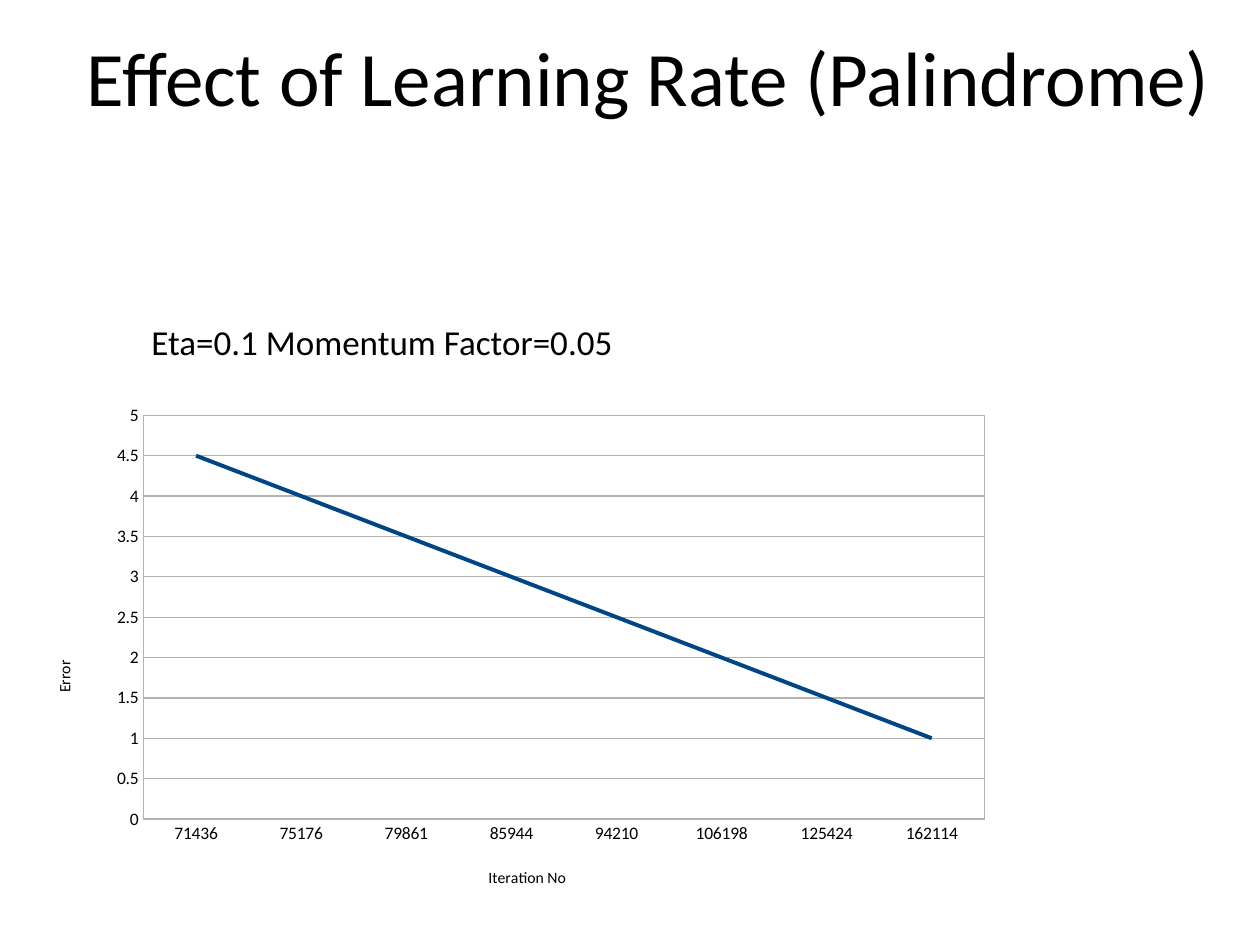
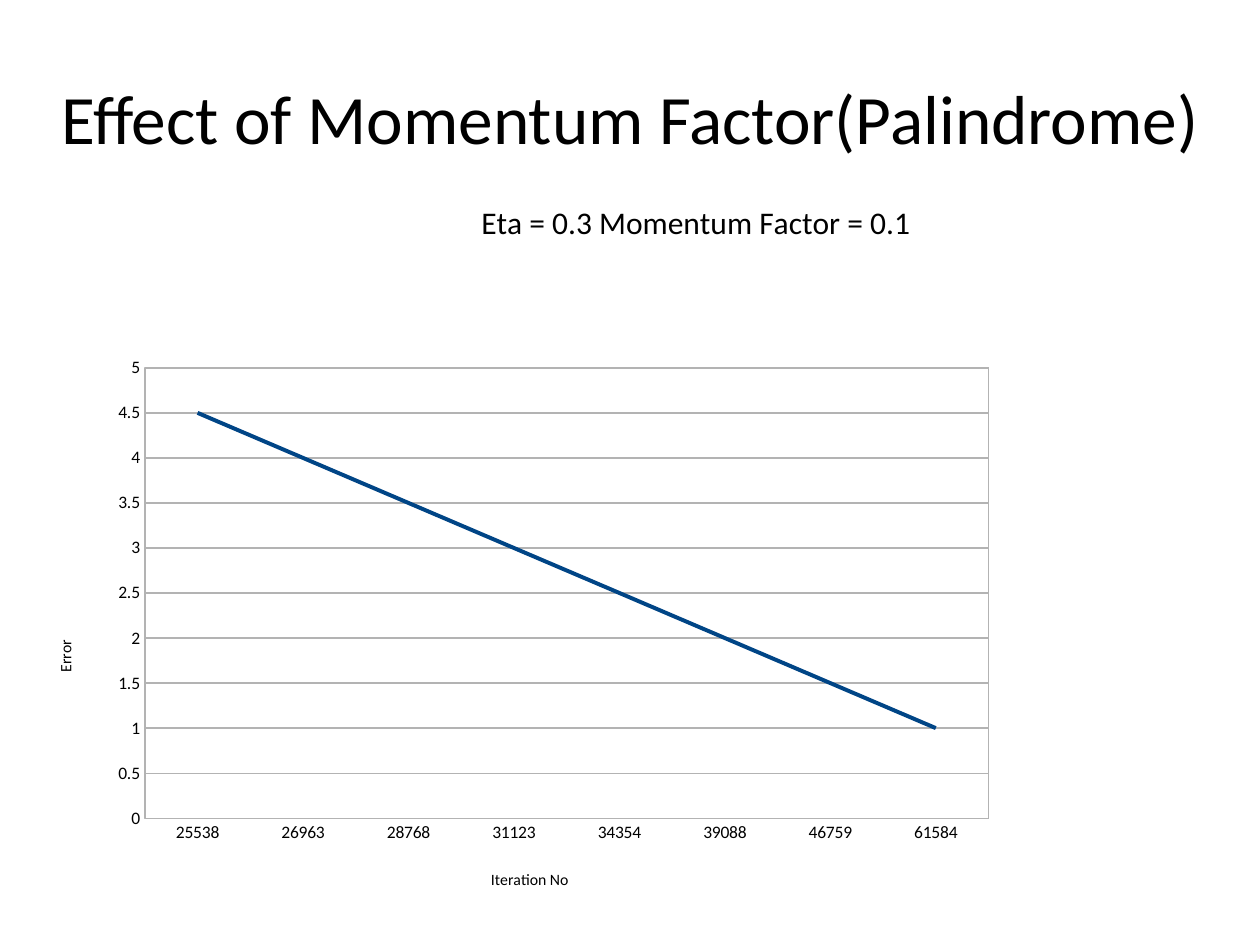
import pptx
import pptx.chart.data
import pptx.dml.color
import pptx.enum.chart
import pptx.enum.text
import pptx.oxml
import pptx.oxml.ns
import pptx.util

BLACK = pptx.dml.color.RGBColor(0x00, 0x00, 0x00)
GREY = pptx.dml.color.RGBColor(0xB3, 0xB3, 0xB3)
BLUE = pptx.dml.color.RGBColor(0x00, 0x45, 0x86)
FONT = "Calibri"
ERRORS = [4.5, 4, 3.5, 3, 2.5, 2, 1.5, 1]
SCALE = 914400 / 126
NS = pptx.oxml.ns.nsdecls("c", "a")
qn = pptx.oxml.ns.qn

SLIDES = [
    {
        "texts": [
            ("Effect of Learning Rate (Palindrome)", 44, (63, -3, 1172, 158)),
            ("Eta=0.1 Momentum Factor=0.05", 20, (134, 314, 496, 55)),
        ],
        "chart": (14, 222, 1241, 714),
        "chart_title": None,
        "iterations": [71436, 75176, 79861, 85944, 94210, 106198, 125424, 162114],
    },
    {
        "texts": [("Effect of Momentum Factor(Palindrome)", 39.6, (25, 38, 1211, 158))],
        "chart": (15, 155, 1245, 790),
        "chart_title": "Eta = 0.3 Momentum Factor = 0.1",
        "iterations": [25538, 26963, 28768, 31123, 34354, 39088, 46759, 61584],
    },
]


def write(tf, text, size):
    p = tf.paragraphs[0]
    r = p.add_run()
    r.text = text
    style = {"name": FONT, "size": pptx.util.Pt(size), "bold": False}
    for key, value in style.items():
        setattr(r.font, key, value)
    r.font.color.rgb = BLACK
    return p


def place(parent, index, values):
    for old in parent.findall(qn("c:layout")):
        parent.remove(old)
    target = '<c:layoutTarget val="outer"/>' if "w" in values else ""
    modes = "".join(f'<c:{k}Mode val="edge"/>' for k in "xy")
    sizes = "".join(f'<c:{k} val="{v}"/>' for k, v in values.items())
    parent.insert(index, pptx.oxml.parse_xml(
        f"<c:layout {NS}><c:manualLayout>{target}{modes}{sizes}</c:manualLayout></c:layout>"))


prs = pptx.Presentation()
prs.slide_width = round(1260 * SCALE)
prs.slide_height = round(945 * SCALE)

for spec_slide in SLIDES:
    s = prs.slides.add_slide(prs.slide_layouts[6])

    data = pptx.chart.data.CategoryChartData()
    data.categories = [str(n) for n in spec_slide["iterations"]]
    data.add_series("Series 1", ERRORS)
    box = [round(n * SCALE) for n in spec_slide["chart"]]
    chart = s.shapes.add_chart(pptx.enum.chart.XL_CHART_TYPE.LINE, *box, data).chart
    chart.has_legend = False
    chart.has_title = spec_slide["chart_title"] is not None
    chart.font.name = FONT
    chart.font.size = pptx.util.Pt(10)
    chart.font.color.rgb = BLACK
    if chart.has_title:
        write(chart.chart_title.text_frame, spec_slide["chart_title"], 18)
        place(chart.chart_title.element, 1, {"x": 0.37, "y": 0.05})

    axes = [
        (chart.category_axis, "Iteration No", 0, {"x": 0.38, "y": 0.9}),
        (chart.value_axis, "Error", -5400000, {"x": 0.03, "y": 0.61}),
    ]
    for axis, name, rotation, spot in axes:
        title = axis.axis_title
        write(title.text_frame, name, 9)
        title.element.find(".//" + qn("a:bodyPr")).set("rot", str(rotation))
        place(title.element, 1, spot)
        axis.major_tick_mark = pptx.enum.chart.XL_TICK_MARK.NONE
        axis.minor_tick_mark = pptx.enum.chart.XL_TICK_MARK.NONE
        axis.format.line.color.rgb = GREY
        axis.format.line.width = pptx.util.Pt(0.75)

    scale = {"minimum_scale": 0, "maximum_scale": 5, "major_unit": 0.5,
             "has_major_gridlines": True}
    for key, value in scale.items():
        setattr(chart.value_axis, key, value)
    grid = chart.value_axis.major_gridlines.format.line
    grid.color.rgb = GREY
    grid.width = pptx.util.Pt(0.75)

    plot = chart.plots[0]
    plot.vary_by_categories = False
    series = plot.series[0]
    series.smooth = False
    series.marker.style = pptx.enum.chart.XL_MARKER_STYLE.NONE
    series.format.line.color.rgb = BLUE
    series.format.line.width = pptx.util.Pt(2.27)

    area = chart.element.find(".//" + qn("c:plotArea"))
    place(area, 0, {"x": 0.083, "y": 0.257, "w": 0.699, "h": 0.614})
    area.append(pptx.oxml.parse_xml(
        f'<c:spPr {NS}><a:noFill/><a:ln w="9525"><a:solidFill>'
        f'<a:srgbClr val="{GREY}"/></a:solidFill></a:ln></c:spPr>'))

    for text, size, box in spec_slide["texts"]:
        sp = s.shapes.add_textbox(*[round(n * SCALE) for n in box])
        tf = sp.text_frame
        tf.word_wrap = True
        tf.vertical_anchor = pptx.enum.text.MSO_ANCHOR.MIDDLE
        p = write(tf, text, size)
        p.alignment = pptx.enum.text.PP_ALIGN.CENTER

prs.save("out.pptx")
